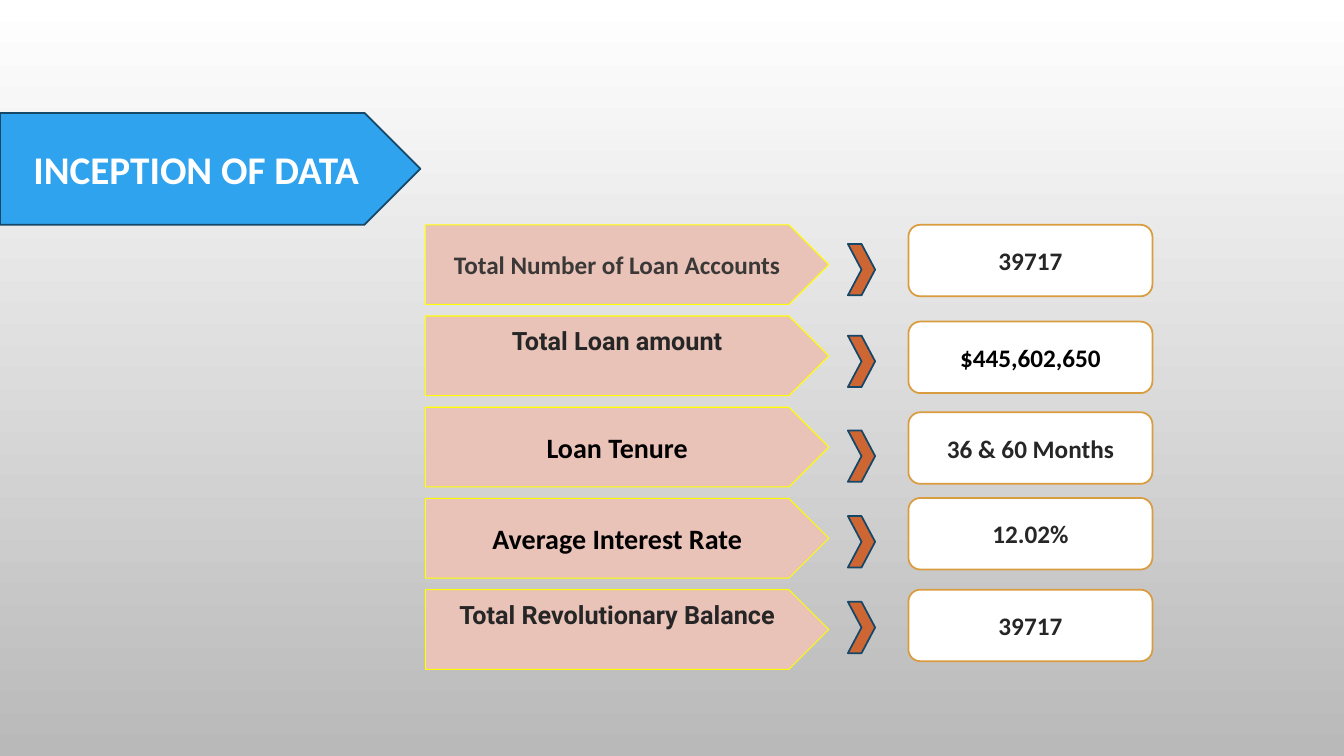
"""Builds the loan data inception slide: a heading and five label-to-value rows."""
from pptx import Presentation
from pptx.dml.color import RGBColor
from pptx.enum import shapes, text
from pptx.util import Inches, Pt

HEADING = "INCEPTION OF DATA"
RAISED = {"font": "Roboto", "color": "dark", "bottom": 0.35}
LARGE = {"size": "large"}
ROWS = [
    {"label": "Total Number of Loan Accounts", "look": {"color": "grey"},
     "value": "39717", "ink": "dark", "value_top": 2.23, "arrow_top": 2.42},
    {"label": "Total Loan amount", "look": RAISED,
     "value": "$445,602,650", "ink": "black", "value_top": 3.19, "arrow_top": 3.33},
    {"label": "Loan Tenure", "look": LARGE,
     "value": "36 & 60 Months", "ink": "dark", "value_top": 4.09, "arrow_top": 4.27},
    {"label": "Average Interest Rate", "look": LARGE,
     "value": "12.02%", "ink": "dark", "value_top": 4.94, "arrow_top": 5.12},
    {"label": "Total Revolutionary Balance", "look": RAISED,
     "value": "39717", "ink": "dark", "value_top": 5.85, "arrow_top": 5.97},
]
THEME = {
    "colors": {
        "white": "FFFFFF", "shade": "B9B9B9", "black": "000000",
        "dark": "262626", "grey": "3B3838", "blue": "2FA3EE",
        "navy": "154768", "pink": "E9C2B8", "yellow": "FFFF00",
        "gold": "D99C3F", "rust": "CE6633",
    },
    "sizes": {"heading": 28, "large": 20, "body": 18},
}
LABEL_TOP, LABEL_PITCH = 2.23, 0.905


def color_of(name):
    return RGBColor.from_string(THEME["colors"][name])


def add_block(slide, preset, box, fill, outline, width=1.25):
    block = slide.shapes.add_shape(preset, *map(Inches, box))
    block.shadow.inherit = False
    block.fill.solid()
    block.fill.fore_color.rgb = color_of(fill)
    block.line.color.rgb = color_of(outline)
    block.line.width = Pt(width)
    return block


def write(block, words, size="body", font="Calibri", color="black", bottom=0.05):
    frame = block.text_frame
    frame.word_wrap = True
    frame.vertical_anchor = text.MSO_ANCHOR.MIDDLE
    frame.margin_bottom = Inches(bottom)
    paragraph = frame.paragraphs[0]
    paragraph.alignment = text.PP_ALIGN.CENTER
    run = paragraph.add_run()
    run.text = words
    run.font.name = font
    run.font.size = Pt(THEME["sizes"][size])
    run.font.bold = True
    run.font.color.rgb = color_of(color)


def paint_background(slide):
    fill = slide.background.fill
    fill.gradient()
    fill.gradient_angle = 270
    for stop, position, name in zip(fill.gradient_stops, (0, 1), ("white", "shade")):
        stop.position = position
        stop.color.rgb = color_of(name)


def main():
    deck = Presentation()
    deck.slide_width, deck.slide_height = Inches(13.33), Inches(7.5)
    slide = deck.slides.add_slide(deck.slide_layouts[6])
    paint_background(slide)
    preset = shapes.MSO_SHAPE

    heading = add_block(slide, preset.PENTAGON, (0, 1.12, 4.17, 1.11), "blue", "navy")
    write(heading, HEADING, size="heading", color="white")

    for index, row in enumerate(ROWS):
        label_top = LABEL_TOP + index * LABEL_PITCH
        label = add_block(slide, preset.PENTAGON, (4.22, label_top, 4, 0.79),
                          "pink", "yellow", 0.75)
        write(label, row["label"], **row["look"])
        value = add_block(slide, preset.ROUNDED_RECTANGLE,
                          (9.01, row["value_top"], 2.42, 0.71), "white", "gold")
        write(value, row["value"], color=row["ink"])
        add_block(slide, preset.CHEVRON, (8.41, row["arrow_top"], 0.27, 0.51),
                  "rust", "navy")

    deck.save("out.pptx")


if __name__ == "__main__":
    main()
